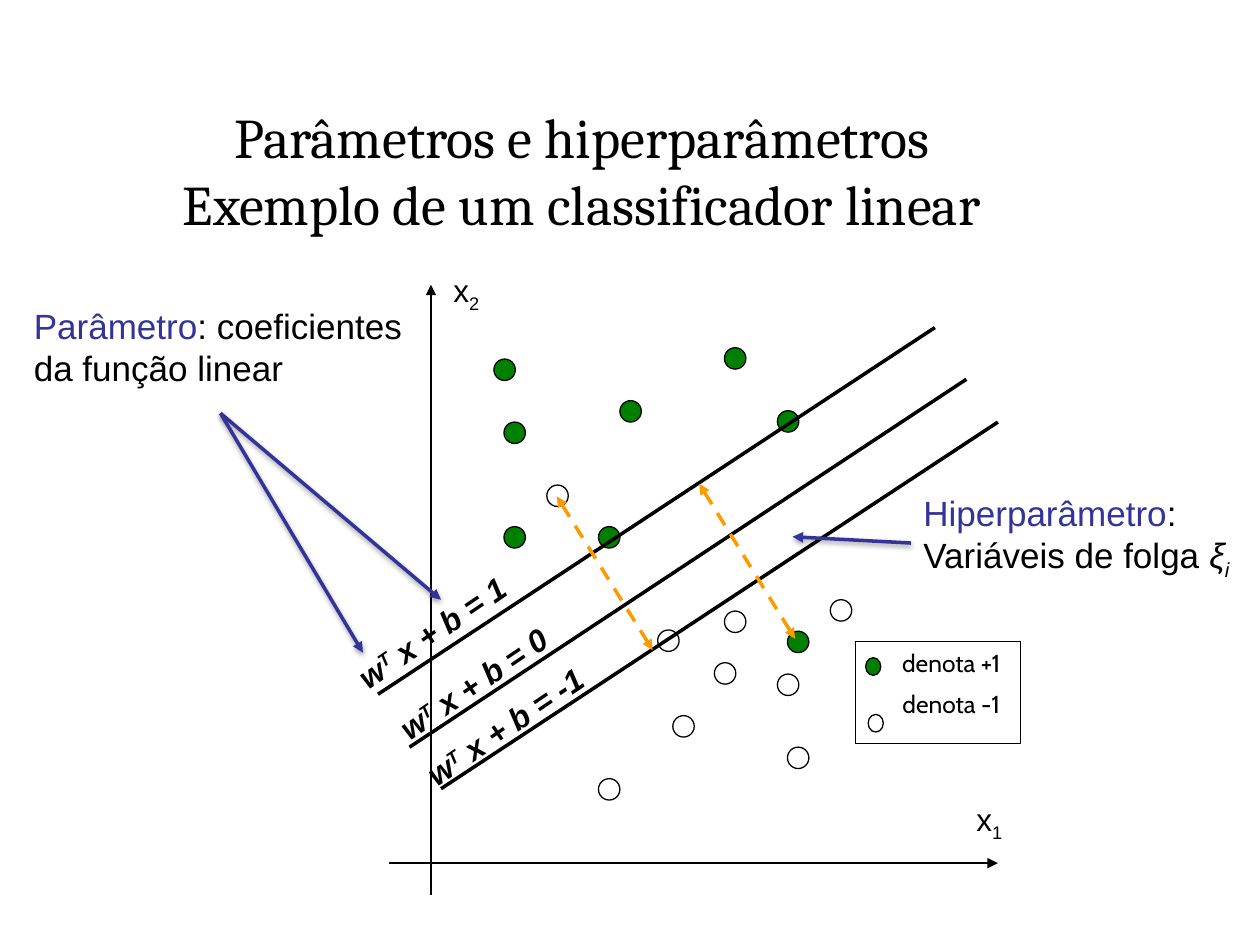
from lxml import etree
from pptx import Presentation
from pptx.dml.color import RGBColor
from pptx.enum.dml import MSO_LINE
from pptx.enum.shapes import MSO_CONNECTOR, MSO_SHAPE
from pptx.enum.text import MSO_ANCHOR, MSO_AUTO_SIZE, PP_ALIGN
from pptx.oxml.ns import qn
from pptx.util import Inches, Pt

BLACK = RGBColor(0x00, 0x00, 0x00)
WHITE = RGBColor(0xFF, 0xFF, 0xFF)
GREEN = RGBColor(0x00, 0x80, 0x00)
ORANGE = RGBColor(0xFF, 0x99, 0x00)
BLUE = RGBColor(0x33, 0x33, 0x99)

OVAL, RECTANGLE = MSO_SHAPE.OVAL, MSO_SHAPE.RECTANGLE
STRAIGHT, DASH = MSO_CONNECTOR.STRAIGHT, MSO_LINE.DASH
TOP, MIDDLE = MSO_ANCHOR.TOP, MSO_ANCHOR.MIDDLE
LEFT, CENTER = PP_ALIGN.LEFT, PP_ALIGN.CENTER
FIT_SHAPE = MSO_AUTO_SIZE.SHAPE_TO_FIT_TEXT

COLUMNS, ROWS = 100, 75
DOT = 1.7  # diameter of a data point, in grid cells


class SlideBuilder:
    """Draws on one slide; lengths are columns and rows of a 100 x 75 grid."""

    def __init__(self, presentation):
        self.cell_width = presentation.slide_width / COLUMNS
        self.cell_height = presentation.slide_height / ROWS
        self.slide = presentation.slides.add_slide(presentation.slide_layouts[6])
        self.shapes = self.slide.shapes

    def place(self, *lengths):
        cells = (self.cell_width, self.cell_height) * 2
        return [round(length * cell) for length, cell in zip(lengths, cells)]

    def shape(self, kind, box, fill=None):
        shape = self.shapes.add_shape(kind, *self.place(*box))
        shape.shadow.inherit = False
        if fill is None:
            shape.fill.background()
        else:
            shape.fill.solid()
            shape.fill.fore_color.rgb = fill
        shape.line.color.rgb = BLACK
        shape.line.width = Pt(0.75)

    def dots(self, corners, fill):
        for left, top in corners:
            self.shape(OVAL, (left, top, DOT, DOT), fill)

    def line(self, start, end, color=BLACK, width=2, ends=(), dash=None, shadow=False):
        connector = self.shapes.add_connector(STRAIGHT, *self.place(*start, *end))
        connector.line.color.rgb = color
        connector.line.width = Pt(width)
        if dash:
            connector.line.dash_style = dash
        outline = connector.line._get_or_add_ln()
        for end_name in ends:
            etree.SubElement(outline, qn(f"a:{end_name}"), type="triangle")
        effects = etree.SubElement(connector._element.spPr, qn("a:effectLst"))
        if shadow:
            outer = etree.SubElement(effects, qn("a:outerShdw"), blurRad=str(Pt(3.1)),
                                     dist=str(Pt(1.6)), dir="5400000", rotWithShape="0")
            black = etree.SubElement(outer, qn("a:srgbClr"), val="000000")
            etree.SubElement(black, qn("a:alpha"), val="38000")

    def text(self, box, paragraphs, size, font="Arial", align=LEFT, anchor=TOP,
             wrap=True, fit=False, emphasis=None, gap=0, rotation=0):
        """Each paragraph is a list of (text, style) runs."""
        text_box = self.shapes.add_textbox(*self.place(*box))
        text_box.rotation = rotation
        frame = text_box.text_frame
        frame.word_wrap = wrap
        frame.vertical_anchor = anchor
        if fit:
            frame.auto_size = FIT_SHAPE
        for index, runs in enumerate(paragraphs):
            paragraph = frame.paragraphs[0] if index == 0 else frame.add_paragraph()
            paragraph.alignment = align
            if index:
                paragraph.space_before = Pt(gap)
            paragraph.font.name = font
            paragraph.font.size = Pt(size)
            paragraph.font.bold = paragraph.font.italic = emphasis
            paragraph.font.color.rgb = BLACK
            for text, style in runs:
                self.run(paragraph, text, **style)

    def run(self, paragraph, text, color=None, italic=None, baseline=0):
        for index, part in enumerate(text.split("\n")):
            if index:
                paragraph.add_line_break()
            run = paragraph.add_run()
            run.text = part
            if color is not None:
                run.font.color.rgb = color
            if italic:
                run.font.italic = True
            if baseline:
                run.font._element.set("baseline", str(baseline * 1000))


def main():
    presentation = Presentation()
    presentation.slide_width = Inches(10)
    presentation.slide_height = Inches(7.5)
    builder = SlideBuilder(presentation)

    # Title
    title = "Parâmetros e hiperparâmetros\nExemplo de um classificador linear"
    builder.text((0, 7.5, 92.4, 11.9), [[(title, {})]], 32, "Cambria", CENTER, MIDDLE)

    # Axes
    for start, end in (((30.9, 68.5), (79.2, 68.5)), ((34.2, 71), (34.2, 22.6))):
        builder.line(start, end, width=1, ends=["tailEnd"])
    for left, top, index in ((76.5, 63, "1"), (35, 21, "2")):
        builder.text((left, top, 4.2, 4), [[("x", {}), (index, {"baseline": -25})]],
                     18, wrap=False, fit=True)

    # Data points of both classes
    builder.dots([(52.2, 50), (57.5, 48.5), (56.7, 52.6), (61.7, 53.5), (65.9, 47.6),
                  (53.4, 56.8), (47.5, 61.8), (62.5, 59.3), (43.4, 38.5)], WHITE)
    builder.dots([(39.2, 28.5), (40, 33.5), (49.2, 31.8), (40, 41.8), (47.5, 41.8),
                  (57.5, 27.6), (61.7, 32.6), (62.5, 50.1)], GREEN)

    # Legend
    builder.text((68.1, 50.9, 14.8, 6.9), [[("denota +1", {})], [("denota -1", {})]],
                 14, "Cabin", CENTER, fit=True, gap=7)
    builder.shape(OVAL, (68.9, 56.7, 1.2, 1.4), WHITE)
    builder.shape(OVAL, (68.7, 52.2, 1.2, 1.4), GREEN)
    builder.shape(RECTANGLE, (67.9, 50.9, 13.1, 8.1))

    # Margins and decision boundary with their equations
    boundaries = (
        ((30, 55.1), (74.2, 26), (20.9, 48.5), "1"),
        ((32.5, 59.3), (76.7, 30.1), (24.2, 52.6), "0"),
        ((35, 62.6), (79.2, 33.5), (26.7, 56), "-1"),
    )
    for start, end, corner, value in boundaries:
        builder.line(start, end)
        equation = [("w", {}), ("T", {"baseline": 30}), (f" x + b = {value}", {})]
        builder.text((*corner, 26.7, 3.3), [equation], 18, align=CENTER, anchor=MIDDLE,
                     wrap=False, emphasis=True, rotation=325.8)

    # Slack distances
    for start, end in (((44.2, 39.4), (51.8, 51.6)), ((55.5, 38.4), (63.1, 50.7))):
        builder.line(start, end, ORANGE, ends=["headEnd", "tailEnd"], dash=DASH)

    # Explanations and their arrows
    builder.text((72.3, 38.5, 29.8, 9.1),
                 [[("Hiperparâmetro", {"color": BLUE}), (": Variáveis de folga ", {}),
                   ("ξ", {"italic": True}), ("i", {"italic": True, "baseline": -25})]], 20)
    builder.text((1.7, 23.7, 31.7, 9.1),
                 [[("Parâmetro", {"color": BLUE}),
                   (": coeficientes da função linear", {})]], 20)
    for start, end in (((17.5, 32.8), (35, 47.6)), ((17.5, 32.8), (28.8, 51.8)),
                       ((72.3, 43.1), (62.9, 42.6))):
        builder.line(start, end, BLUE, ends=["tailEnd"], shadow=True)

    presentation.save("out.pptx")


if __name__ == "__main__":
    main()
